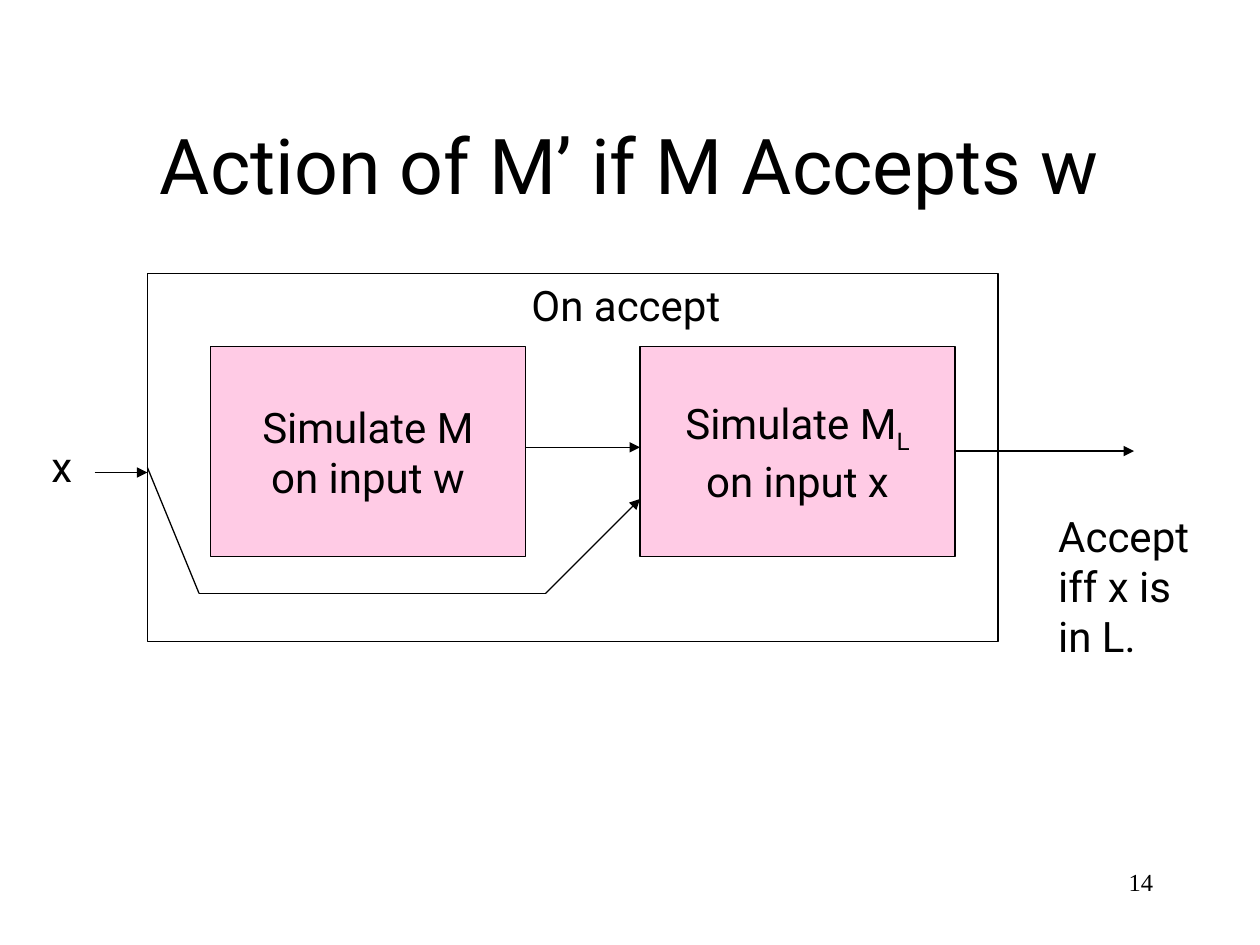
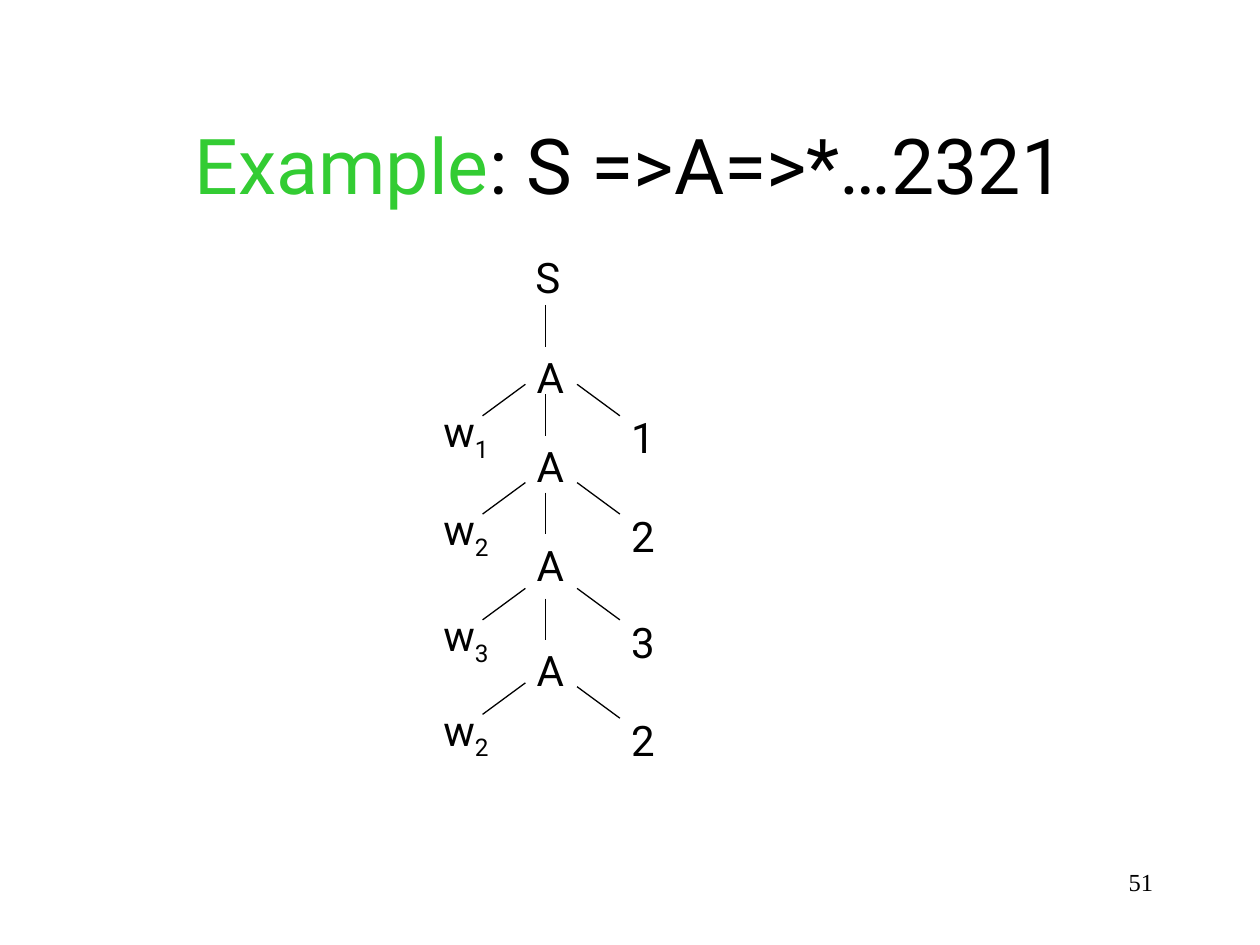
from itertools import pairwise

from lxml import etree
from pptx import Presentation
from pptx import util as u
from pptx.dml.color import RGBColor
from pptx.enum import shapes, text
from pptx.oxml import ns

COLORS = {"ink": "000000", "accent": "33CC33", "box": "FF99CC"}
BODY_FONT, NUMBER_FONT = "Roboto", "Times New Roman"
BODY_SIZE, TITLE_SIZE, NUMBER_SIZE = 24, 44, 14
LINE_WIDTH = 0.75
LEFT, CENTER, RIGHT = text.PP_ALIGN.LEFT, text.PP_ALIGN.CENTER, text.PP_ALIGN.RIGHT


def rgb(name):
    return RGBColor.from_string(COLORS[name])


def inches(*values):
    return [u.Inches(value) for value in values]


def sub_element(parent, tag, **attributes):
    return etree.SubElement(parent, ns.qn(tag), attributes)


def write(shape, lines, align=LEFT, size=BODY_SIZE, font=BODY_FONT, anchor=text.MSO_ANCHOR.TOP,
          wrap=False):
    """Each line is a list of (words, style) pairs; style is a colour name or "sub"."""
    frame = shape.text_frame
    frame.word_wrap = wrap
    frame.vertical_anchor = anchor
    for index, line in enumerate(lines):
        paragraph = frame.add_paragraph() if index else frame.paragraphs[0]
        paragraph.alignment = align
        for words, style in line:
            run = paragraph.add_run()
            run.text = words
            run.font.name = font
            run.font.size = u.Pt(size)
            run.font.color.rgb = rgb("ink" if style == "sub" else style)
            if style == "sub":
                run._r.get_or_add_rPr().set("baseline", "-25000")


def plain(*lines):
    return [[(line, "ink")] for line in lines]


def subscripted(words, index):
    return [(words, "ink"), (index, "sub")]


def add_label(slide, lines, left, top, width, height=0.5):
    label = slide.shapes.add_textbox(*inches(left, top, width, height))
    write(label, lines)
    label.text_frame.auto_size = text.MSO_AUTO_SIZE.SHAPE_TO_FIT_TEXT


def add_line(slide, start, end, arrow=False):
    line = slide.shapes.add_connector(shapes.MSO_CONNECTOR.STRAIGHT, *inches(*start, *end))
    line.line.color.rgb = rgb("ink")
    line.line.width = u.Pt(LINE_WIDTH)
    if arrow:
        sub_element(line.line._get_or_add_ln(), "a:tailEnd", type="triangle")
    sub_element(line._element.spPr, "a:effectLst")


def add_rectangle(slide, left, top, width, height, fill=None):
    rectangle = slide.shapes.add_shape(
        shapes.MSO_SHAPE.RECTANGLE, *inches(left, top, width, height))
    rectangle.shadow.inherit = False
    rectangle.line.color.rgb = rgb("ink")
    rectangle.line.width = u.Pt(LINE_WIDTH)
    if fill:
        rectangle.fill.solid()
        rectangle.fill.fore_color.rgb = rgb(fill)
        color = rectangle._element.spPr.find(".//" + ns.qn("a:srgbClr"))
        sub_element(color, "a:alpha", val="50000")
    else:
        rectangle.fill.background()
    return rectangle


def add_slide(presentation, title_runs, number):
    slide = presentation.slides.add_slide(presentation.slide_layouts[6])
    number_box = slide.shapes.add_textbox(*inches(7.17, 6.83, 2.08, 0.5))
    write(number_box, plain(number), RIGHT, NUMBER_SIZE, NUMBER_FONT, wrap=True)
    title = slide.shapes.add_textbox(*inches(0.75, 0.67, 8.5, 1.25))
    write(title, [title_runs], CENTER, TITLE_SIZE, anchor=text.MSO_ANCHOR.MIDDLE, wrap=True)
    return slide


def draw_machine(slide, left, top, width, height):
    def at(x, y):
        return left + x, top + y

    simulators = [
        (0.5, plain("Simulate M", "on input w")),
        (3.91, [subscripted("Simulate M", "L"), *plain("on input x")]),
    ]
    for x, lines in simulators:
        simulator = add_rectangle(slide, *at(x, 0.58), 2.5, 1.67, "box")
        write(simulator, lines, CENTER, anchor=text.MSO_ANCHOR.MIDDLE)
    add_rectangle(slide, left, top, width, height)

    add_label(slide, plain("x"), *at(-0.86, 1.28), 0.37)
    add_label(slide, plain("On accept"), *at(2.95, 0), 1.77)
    add_label(slide, plain("Accept", "iff x is", "in L."), *at(7.13, 1.83), 1.24, 1.3)

    for start, end, y in [(-0.42, 0, 1.58), (3, 3.91, 1.38), (6.41, 7.83, 1.41)]:
        add_line(slide, at(start, y), at(end, y), arrow=True)
    bypass = [at(0, 1.54), at(0.41, 2.54), at(3.16, 2.54), at(3.91, 1.79)]
    for start, end in pairwise(bypass):
        add_line(slide, start, end, arrow=end == bypass[-1])


def draw_tree(slide, left, top, levels):
    axis = left + 0.91

    def add_stem_and_node(y):
        add_line(slide, (axis, y), (axis, y + 0.33))
        add_label(slide, plain("A"), axis - 0.17, y + 0.32, 0.41)

    add_label(slide, plain("S"), axis - 0.18, top, 0.38)
    add_stem_and_node(top + 0.47)
    for index, (symbol, left_drop, right_drop) in enumerate(levels):
        left_top, right_top = top + left_drop, top + right_drop
        add_line(slide, (axis - 0.16, left_top), (axis - 0.5, left_top + 0.25))
        add_line(slide, (axis + 0.25, right_top), (axis + 0.59, right_top + 0.25))
        add_label(slide, [subscripted("w", symbol)], left, left_top + 0.12, 0.57, 0.56)
        add_label(slide, plain(symbol), axis + 0.58, right_top + 0.17, 0.39)
        if index < len(levels) - 1:
            add_stem_and_node(left_top + 0.08)


def main():
    presentation = Presentation()
    presentation.slide_width, presentation.slide_height = inches(10, 7.5)

    machine_slide = add_slide(presentation, [("Action of M’ if M Accepts w", "ink")], "14")
    draw_machine(machine_slide, 1.17, 2.17, 6.75, 2.92)

    tree_slide = add_slide(
        presentation, [("Example", "accent"), (": S =>A=>*…2321", "ink")], "51")
    levels = [("1", 1.1, 1.1), ("2", 1.88, 1.88), ("3", 2.72, 2.72), ("2", 3.47, 3.5)]
    draw_tree(tree_slide, 3.42, 1.95, levels)

    presentation.save("out.pptx")


if __name__ == "__main__":
    main()
